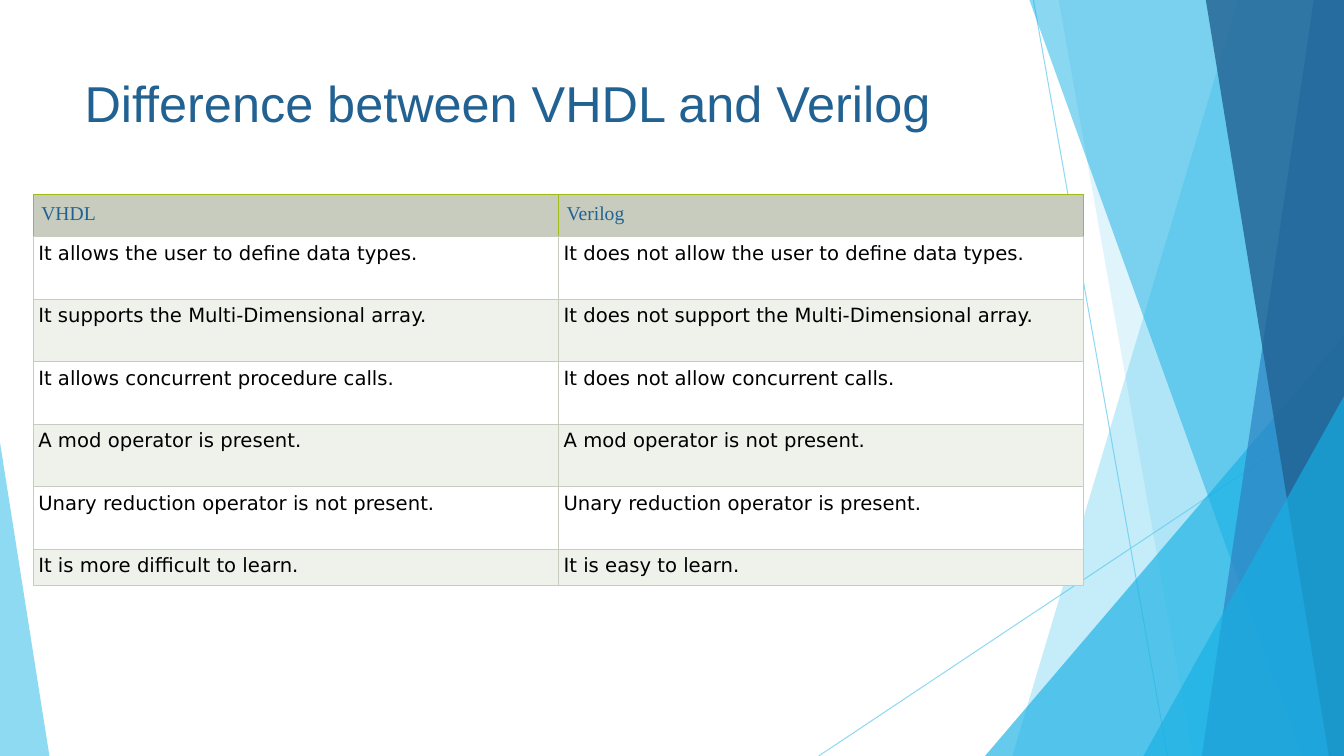
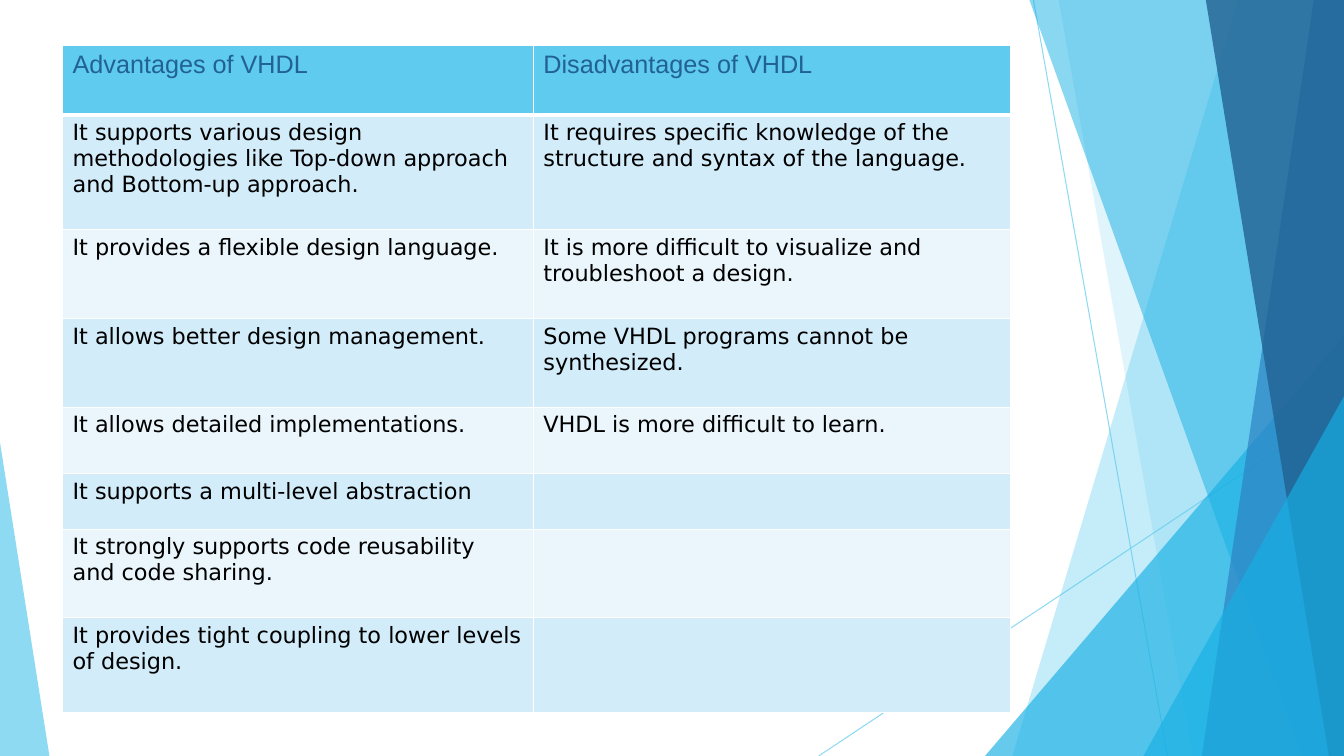
"""Build two slides comparing VHDL and Verilog over a shared faceted backdrop."""
from dataclasses import dataclass

from lxml import etree
from pptx import Presentation
from pptx import util as u
from pptx.dml.color import RGBColor
from pptx.enum import shapes, text
from pptx.oxml.ns import qn

WIDE, HIGH = 13.33, 7.5


@dataclass(frozen=True)
class Theme:
    """Colours, fonts and type sizes."""
    sky: str = "5FCBEF"
    cyan: str = "17B0E4"
    blue: str = "2E83C3"
    navy: str = "226292"
    black: str = "000000"
    white: str = "FFFFFF"
    sage: str = "C7CCBE"
    mist: str = "EFF1EB"
    lime: str = "A0BC16"
    ice: str = "D2ECF9"
    frost: str = "EAF6FC"
    sans: str = "Arial"
    body: str = "DejaVu Sans"
    serif: str = "Times New Roman"
    title: int = 36
    large: int = 18
    mid: int = 16
    small: int = 14


T = Theme()

RAYS = [((10.25, 0), (11.58, HIGH)), ((WIDE, 4.03), (8.12, HIGH))]

FACETS = [
    ("band", (12.28, 10.04), T.sky, 36),
    ("band", (10.5, 11.83), T.sky, 20),
    ("wedge", (9.77, 3.33, 3.56, 1), T.cyan, 66),
    ("band", (10.21, 12.91), T.cyan, 50),
    ("band", (13.03, 11.92), T.blue, 70),
    ("band", (11.96, 13.18), T.navy, 80),
    ("wedge", (11.34, 3.93, 1.99, 1), T.cyan, 66),
    ("wedge", (0, 4.39, 0.49, 0), T.sky, 70),
]

SLIDES = [
    {
        "title": "Difference between VHDL and Verilog",
        "at": (0.33, 1.93),
        "cols": [5.21, 5.21],
        "rows": [0.42] + [0.62] * 5 + [0.36],
        "head": {"font": (T.serif, T.small, T.navy), "fill": T.sage, "pad": (0.08, 0.08),
                 "edge": {"L": (T.lime, 0.6), "R": (T.lime, 0.6),
                          "T": (T.lime, 0.6), "B": (T.sage, 0.6)}},
        "body": {"font": (T.body, T.small, T.black), "fill": (T.white, T.mist),
                 "pad": (0.05, 0.05), "edge": dict.fromkeys("LRTB", (T.sage, 0.6))},
        "cells": [
            ("VHDL", "Verilog"),
            ("It allows the user to define data types.",
             "It does not allow the user to define data types."),
            ("It supports the Multi-Dimensional array.",
             "It does not support the Multi-Dimensional array."),
            ("It allows concurrent procedure calls.", "It does not allow concurrent calls."),
            ("A mod operator is present.", "A mod operator is not present."),
            ("Unary reduction operator is not present.", "Unary reduction operator is present."),
            ("It is more difficult to learn.", "It is easy to learn."),
        ],
    },
    {
        "title": None,
        "at": (0.62, 0.45),
        "cols": [4.67, 4.73],
        "rows": [0.69, 1.14, 0.88, 0.88, 0.66, 0.55, 0.88, 0.94],
        "head": {"font": (T.sans, T.large, T.navy), "fill": T.sky, "pad": (0.1, 0.05),
                 "edge": {**dict.fromkeys("LRT", (T.white, 1)), "B": (T.white, 3)}},
        "body": {"font": (T.body, T.mid, T.black), "fill": (T.ice, T.frost),
                 "pad": (0.1, 0.05), "edge": dict.fromkeys("LRTB", (T.white, 1))},
        "cells": [
            ("Advantages of VHDL", "Disadvantages of VHDL"),
            ("It supports various design methodologies like Top-down approach "
             "and Bottom-up approach.",
             "It requires specific knowledge of the structure and syntax of the language."),
            ("It provides a flexible design language.",
             "It is more difficult to visualize and troubleshoot a design."),
            ("It allows better design management.", "Some VHDL programs cannot be synthesized."),
            ("It allows detailed implementations.", "VHDL is more difficult to learn."),
            ("It supports a multi-level abstraction", ""),
            ("It strongly supports code reusability and code sharing.", ""),
            ("It provides tight coupling to lower levels of design.", ""),
        ],
    },
]


def inch(*nums):
    """Turn inches into lengths."""
    return [u.Inches(n) for n in nums]


def fade(shape, share):
    """Set the opacity of every colour in a shape."""
    for tint in shape._element.iter(qn("a:srgbClr")):
        etree.SubElement(tint, qn("a:alpha")).set("val", str(share * 1000))


def write(frame, words, font):
    """Add one styled run to the first paragraph."""
    run = frame.paragraphs[0].add_run()
    run.text = words
    name, size, tint = font
    run.font.name, run.font.size, run.font.bold = name, u.Pt(size), False
    run.font.color.rgb = RGBColor.from_string(tint)


def add_ray(slide, start, end):
    """Draw one thin backdrop line."""
    ray = slide.shapes.add_connector(shapes.MSO_CONNECTOR.STRAIGHT, *inch(*start, *end))
    ray.line.color.rgb = RGBColor.from_string(T.sky)
    ray.line.width = u.Pt(0.75)
    etree.SubElement(ray._element.spPr, qn("a:effectLst"))
    fade(ray, 70)


def add_facet(slide, kind, spot, tint, share):
    """Draw a full-height band or a wedge standing on the lower edge."""
    if kind == "band":
        top, foot = spot
        pen = slide.shapes.build_freeform(*inch(top, 0))
        pen.add_line_segments([inch(WIDE, 0), inch(WIDE, HIGH), inch(foot, HIGH)])
        facet = pen.convert_to_shape()
    else:
        x, y, wide, peak = spot
        facet = slide.shapes.add_shape(
            shapes.MSO_SHAPE.ISOSCELES_TRIANGLE, *inch(x, y, wide, HIGH - y))
        facet.adjustments[0] = peak
    facet.shadow.inherit = False
    facet.fill.solid()
    facet.fill.fore_color.rgb = RGBColor.from_string(tint)
    facet.line.fill.background()
    fade(facet, share)


def add_title(slide, words):
    """Place the slide title."""
    frame = slide.shapes.add_textbox(*inch(0.74, 0.67, 9.4, 1.44)).text_frame
    frame.word_wrap = True
    frame.vertical_anchor = text.MSO_ANCHOR.TOP
    write(frame, words, (T.sans, T.title, T.navy))


def set_edges(cell, edges):
    """Set the four borders of a cell."""
    props = cell._tc.get_or_add_tcPr()
    for spot, side in enumerate("LRTB"):
        tint, width = edges[side]
        line = etree.Element(qn("a:ln" + side), w=str(u.Pt(width)))
        fill = etree.SubElement(line, qn("a:solidFill"))
        etree.SubElement(fill, qn("a:srgbClr"), val=tint)
        props.insert(spot, line)


def set_cell(cell, words, look, fill):
    """Fill, pad, edge and write one cell."""
    cell.fill.solid()
    cell.fill.fore_color.rgb = RGBColor.from_string(fill)
    side, top = inch(*look["pad"])
    cell.margin_left = cell.margin_right = side
    cell.margin_top = cell.margin_bottom = top
    set_edges(cell, look["edge"])
    if words:
        write(cell.text_frame, words, look["font"])


def add_grid(slide, plan):
    """Place the table with its header and alternating rows."""
    cols, rows = plan["cols"], plan["rows"]
    grid = slide.shapes.add_table(
        len(rows), len(cols), *inch(*plan["at"], sum(cols), sum(rows))).table
    grid.first_row = grid.horz_banding = False
    for col, wide in zip(grid.columns, cols):
        col.width = u.Inches(wide)
    for r, (row, high) in enumerate(zip(grid.rows, rows)):
        row.height = u.Inches(high)
        look = plan["body"] if r else plan["head"]
        fill = look["fill"][(r - 1) % 2] if r else look["fill"]
        for cell, words in zip(row.cells, plan["cells"][r]):
            set_cell(cell, words, look, fill)


def main():
    """Build and save the deck."""
    deck = Presentation()
    deck.slide_width, deck.slide_height = inch(WIDE, HIGH)
    for plan in SLIDES:
        slide = deck.slides.add_slide(deck.slide_layouts[6])
        for ray in RAYS:
            add_ray(slide, *ray)
        for facet in FACETS:
            add_facet(slide, *facet)
        if plan["title"]:
            add_title(slide, plan["title"])
        add_grid(slide, plan)
    deck.save("out.pptx")


if __name__ == "__main__":
    main()
